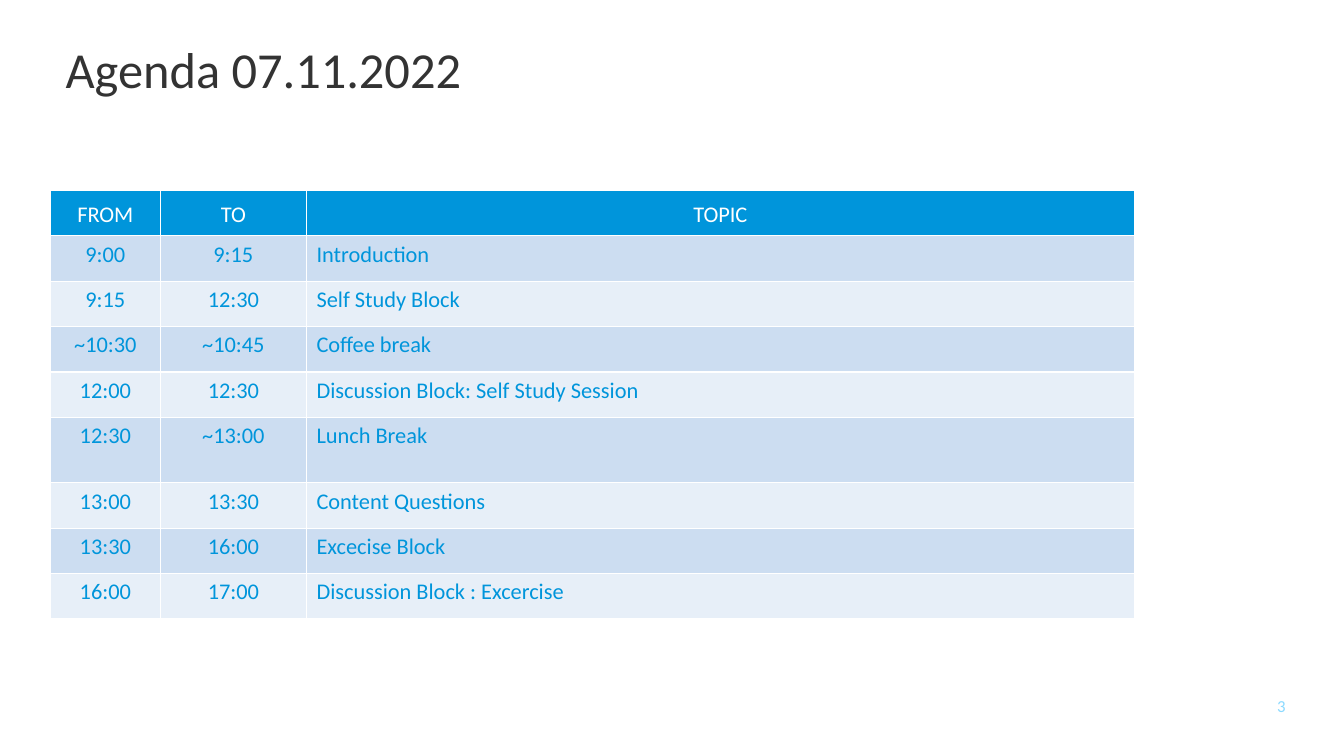
from lxml.etree import SubElement
from pptx import Presentation
from pptx.dml.color import RGBColor
from pptx.enum.text import MSO_ANCHOR, PP_ALIGN
from pptx.oxml.ns import qn
from pptx.util import Inches, Pt

# Content
TITLE = "Agenda 07.11.2022"
PAGE = "3"
HEAD = ("from", "to", "topic")
AGENDA = [
    ("9:00", "9:15", "Introduction"),
    ("9:15", "12:30", "Self Study Block"),
    ("~10:30", "~10:45", "Coffee break"),
    ("12:00", "12:30", "Discussion Block: Self Study Session"),
    ("12:30", "~13:00", "Lunch Break"),
    ("13:00", "13:30", "Content Questions"),
    ("13:30", "16:00", "Excecise Block"),
    ("16:00", "17:00", "Discussion Block : Excercise"),
]

# Theme and layout
THEME = {
    "font": "Calibri",
    "dark": "333333", "blue": "0095DB", "pale": "8BDAFF", "white": "FFFFFF",
    "bands": ("CCDDF1", "E7EFF8"),
    "title": 36, "head": 20, "body": 16, "page": 12,
}
WIDTHS = (1.09, 1.45, 8.21)
ROW, TALL = 0.45, 0.65
LUNCH = 5


def style(frame, text, size, color, align=PP_ALIGN.LEFT):
    frame.text = text
    para = frame.paragraphs[0]
    para.alignment = align
    font = para.runs[0].font
    font.name, font.size, font.bold = THEME["font"], Pt(size), False
    font.color.rgb = RGBColor.from_string(color)
    return para


def border(cell):
    props = cell._tc.get_or_add_tcPr()
    for side in ("lnL", "lnR", "lnT", "lnB"):
        line = SubElement(props, qn(f"a:{side}"), w=str(Pt(1)))
        fill = SubElement(line, qn("a:solidFill"))
        SubElement(fill, qn("a:srgbClr"), val=THEME["white"])


def paint(cell, color):
    border(cell)
    cell.fill.solid()
    cell.fill.fore_color.rgb = RGBColor.from_string(color)


deck = Presentation()
deck.slide_width, deck.slide_height = Inches(13.33), Inches(7.5)
slide = deck.slides.add_slide(deck.slide_layouts[5])

# Title
title = slide.shapes.title
title.left, title.top = Inches(0.55), Inches(0.4)
title.width, title.height = Inches(9.51), Inches(0.64)
para = style(title.text_frame, TITLE, THEME["title"], THEME["dark"])
para.line_spacing = 0.9
title.text_frame.vertical_anchor = MSO_ANCHOR.MIDDLE

# Agenda table
rows = [HEAD] + AGENDA
heights = [TALL if r == LUNCH else ROW for r in range(len(rows))]
table = slide.shapes.add_table(
    len(rows), len(HEAD), Inches(0.5), Inches(1.89),
    Inches(sum(WIDTHS)), Inches(sum(heights))).table
for col, width in zip(table.columns, WIDTHS):
    col.width = Inches(width)
for r, row in enumerate(rows):
    table.rows[r].height = Inches(heights[r])
    for c, text in enumerate(row):
        cell = table.cell(r, c)
        top = r == 0
        align = PP_ALIGN.CENTER if top or c < 2 else PP_ALIGN.LEFT
        para = style(cell.text_frame, text,
                     THEME["head" if top else "body"],
                     THEME["white" if top else "blue"], align)
        if top:
            para.runs[0].font._element.set("cap", "small")
        paint(cell, THEME["blue"] if top else THEME["bands"][(r - 1) % 2])

# Page number
page = slide.shapes.add_textbox(
    Inches(9.85), Inches(6.8), Inches(3), Inches(0.4)).text_frame
page.word_wrap = True
page.vertical_anchor = MSO_ANCHOR.MIDDLE
style(page, PAGE, THEME["page"], THEME["pale"], PP_ALIGN.RIGHT)

deck.save("out.pptx")
